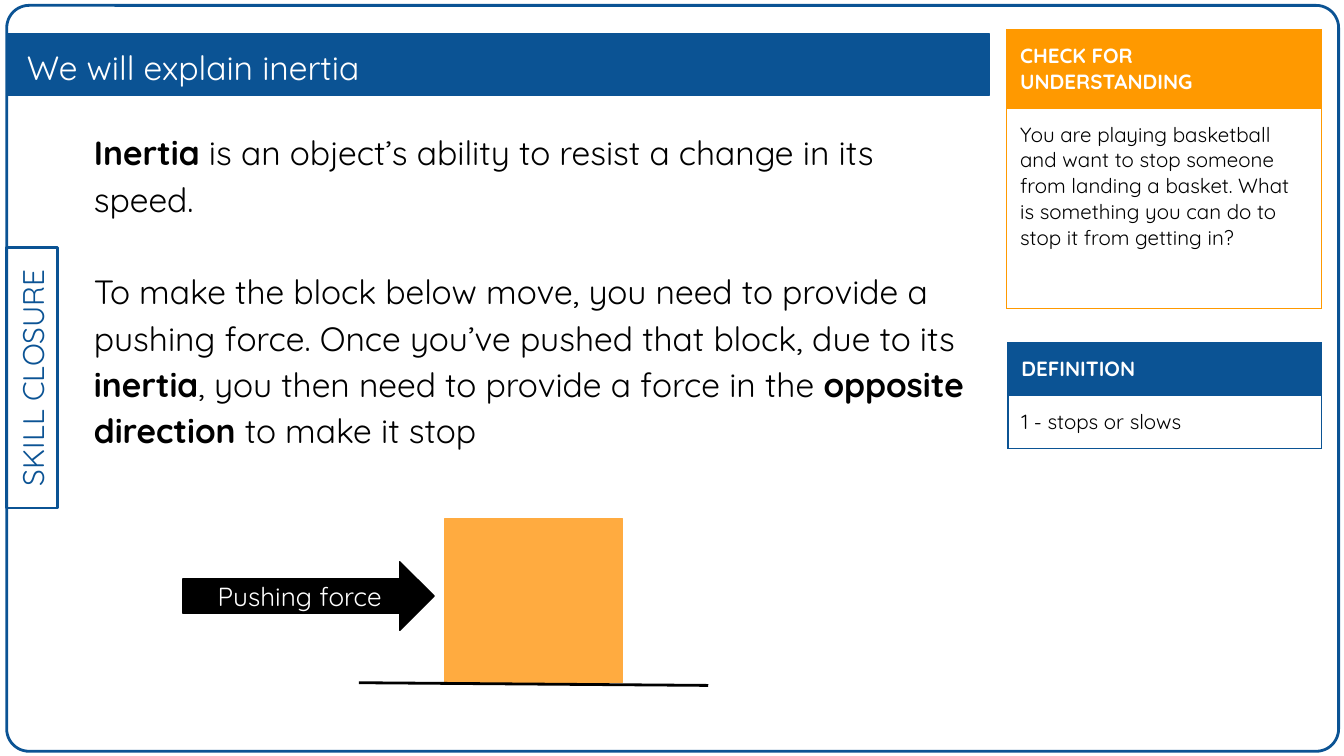
from lxml.etree import SubElement
from pptx import Presentation
from pptx.dml.color import RGBColor
from pptx.enum.shapes import MSO_CONNECTOR, MSO_SHAPE
from pptx.enum.text import MSO_ANCHOR, MSO_AUTO_SIZE, PP_ALIGN
from pptx.oxml.ns import qn
from pptx.util import Inches, Pt

BLUE = RGBColor(0x0B, 0x53, 0x94)
ORANGE = RGBColor(0xFF, 0x99, 0x00)
BLOCK_ORANGE = RGBColor(0xFF, 0xAB, 0x40)
BLACK = RGBColor(0, 0, 0)
WHITE = RGBColor(0xFF, 0xFF, 0xFF)
FONT = "Quicksand"
INSET = Inches(0.1)


def add_runs(paragraph, runs, size, color):
    for text, bold in runs:
        run = paragraph.add_run()
        run.text = text
        run.font.name = FONT
        run.font.size = Pt(size)
        run.font.bold = bold
        run.font.color.rgb = color


def set_insets(holder):
    holder.margin_left = holder.margin_right = INSET
    holder.margin_top = holder.margin_bottom = INSET


def prepare_frame(frame, anchor):
    set_insets(frame)
    frame.word_wrap = True
    frame.auto_size = MSO_AUTO_SIZE.NONE
    frame.vertical_anchor = anchor


def add_figure(slide, kind, box, line_color, line_width=0.75, fill=None):
    figure = slide.shapes.add_shape(kind, *map(Inches, box))
    figure.shadow.inherit = False
    if fill is None:
        figure.fill.background()
    else:
        figure.fill.solid()
        figure.fill.fore_color.rgb = fill
    figure.line.color.rgb = line_color
    figure.line.width = Pt(line_width)
    return figure


def add_label(figure, text, size, color):
    prepare_frame(figure.text_frame, MSO_ANCHOR.MIDDLE)
    paragraph = figure.text_frame.paragraphs[0]
    paragraph.alignment = PP_ALIGN.CENTER
    add_runs(paragraph, [(text, False)], size, color)


def place_title(slide, text, box, bar):
    title = slide.shapes.title
    bar.element.addnext(title.element)
    title.left, title.top, title.width, title.height = map(Inches, box)
    prepare_frame(title.text_frame, MSO_ANCHOR.MIDDLE)
    paragraph = title.text_frame.paragraphs[0]
    paragraph.alignment = PP_ALIGN.LEFT
    paragraph.line_spacing = 1.15
    add_runs(paragraph, [(text, False)], 18, WHITE)


def add_explanation(slide, box, paragraphs):
    frame = slide.shapes.add_textbox(*map(Inches, box)).text_frame
    prepare_frame(frame, MSO_ANCHOR.TOP)
    for index, runs in enumerate(paragraphs):
        paragraph = frame.add_paragraph() if index else frame.paragraphs[0]
        paragraph.line_spacing = 1.15
        if index:
            paragraph.space_before = Pt(24.8)
        add_runs(paragraph, runs, 18, BLACK)


def set_borders(cell, color):
    properties = cell._tc.get_or_add_tcPr()
    for position, side in enumerate(("a:lnL", "a:lnR", "a:lnT", "a:lnB")):
        border = SubElement(properties, qn(side), w=str(Pt(0.75)))
        fill = SubElement(border, qn("a:solidFill"))
        SubElement(fill, qn("a:srgbClr"), val=str(color))
        properties.insert(position, border)


def add_card(slide, box, row_heights, heading, body, color):
    table = slide.shapes.add_table(2, 1, *map(Inches, box)).table
    table.horz_banding = False
    table.first_row = False
    contents = ((heading, True, WHITE), (body, False, BLACK))
    for index, (text, bold, text_color) in enumerate(contents):
        table.rows[index].height = Inches(row_heights[index])
        cell = table.cell(index, 0)
        set_insets(cell)
        if index:
            cell.fill.background()
        else:
            cell.fill.solid()
            cell.fill.fore_color.rgb = color
        set_borders(cell, color)
        add_runs(cell.text_frame.paragraphs[0], [(text, bold)], 11, text_color)


def add_ground(slide, start, end):
    ground = slide.shapes.add_connector(
        MSO_CONNECTOR.STRAIGHT, *map(Inches, start + end))
    ground.line.color.rgb = BLACK
    ground.line.width = Pt(1.5)
    SubElement(ground.element.spPr, qn("a:effectLst"))


def main():
    presentation = Presentation()
    presentation.slide_width = Inches(10)
    presentation.slide_height = Inches(10 * 9 / 16)
    slide = presentation.slides.add_slide(presentation.slide_layouts[5])

    frame = add_figure(slide, MSO_SHAPE.ROUNDED_RECTANGLE,
                       (0.05, 0.04, 9.91, 5.55), BLUE, 1.5)
    frame.adjustments[0] = 0.03
    section_tab = add_figure(slide, MSO_SHAPE.RECTANGLE,
                             (-0.73, 2.62, 1.94, 0.38), BLUE, 1.5)
    section_tab.rotation = 270
    add_label(section_tab, "SKILL CLOSURE", 16, BLUE)
    title_bar = add_figure(slide, MSO_SHAPE.RECTANGLE,
                           (0.05, 0.25, 7.31, 0.46), BLUE, fill=BLUE)
    place_title(slide, "We will explain inertia",
                (0.1, 0.29, 7.21, 0.38), title_bar)

    add_explanation(slide, (0.6, 0.84, 6.75, 4.54), [
        [("Inertia", True),
         (" is an object’s ability to resist a change in its speed.", False)],
        [("To make the block below move, you need to provide a pushing force. "
          "Once you’ve pushed that block, due to its ", False),
         ("inertia", True),
         (", you then need to provide a force in the ", False),
         ("opposite direction", True),
         (" to make it stop", False)],
    ])

    add_card(slide, (7.49, 0.22, 2.34, 2.07), (0.58, 1.49),
             "CHECK FOR UNDERSTANDING",
             "You are playing basketball and want to stop someone from landing "
             "a basket. What is something you can do to stop it from getting in?",
             ORANGE)
    add_card(slide, (7.5, 2.55, 2.33, 0.78), (0.39, 0.39),
             "DEFINITION", "1 - stops or slows", BLUE)

    add_figure(slide, MSO_SHAPE.RECTANGLE, (3.31, 3.86, 1.32, 1.22),
               BLOCK_ORANGE, fill=BLOCK_ORANGE)
    push_arrow = add_figure(slide, MSO_SHAPE.RIGHT_ARROW,
                            (1.36, 4.18, 1.87, 0.51), BLACK, fill=BLACK)
    add_label(push_arrow, "Pushing force", 14, WHITE)
    add_ground(slide, (2.67, 5.08), (5.27, 5.1))

    presentation.save("out.pptx")


if __name__ == "__main__":
    main()
